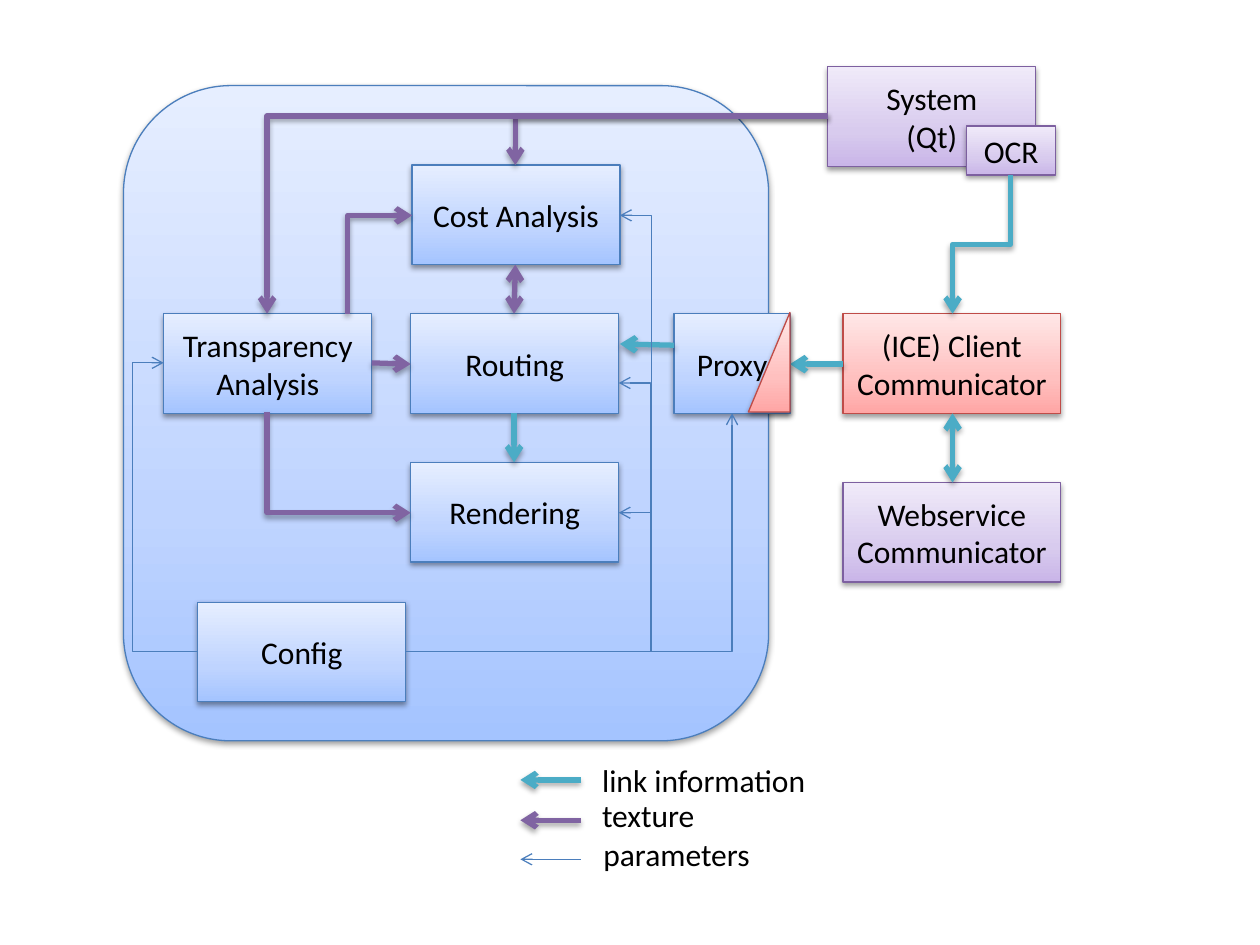
from dataclasses import dataclass
from typing import Optional

from lxml import etree
from pptx import Presentation
from pptx import util as u
from pptx.dml.color import RGBColor
from pptx.enum import shapes, text
from pptx.oxml import ns

INK = {"blue": "4B7EBC", "purple": "7D60A0", "red": "BF4C48", "black": "000000",
       "link": "4BACC6", "texture": "8064A2", "param": "4B7EBC"}
FADE = {"blue": ("A4C4FF", "BFD4FF", "E6EEFF"),
        "purple": ("C9B5E8", "D8CBEE", "F0EAF9"),
        "red": ("FFA6A5", "FFC0BF", "FFE7E7")}
STOPS = (0, 35, 100)
KIND = shapes.MSO_SHAPE
W, H = 1.65, 0.79


@dataclass
class Box:
    """A shaded shape with an optional label."""
    left: float
    top: float
    label: str = ""
    hue: str = "blue"
    width: float = W
    height: float = H
    form: KIND = KIND.RECTANGLE


@dataclass
class Link:
    """An arrow; turn is '', 'hv', 'vh', 'hvh' or 'vhv'."""
    start: tuple[float, float]
    end: tuple[float, float]
    hue: str
    turn: str = ""
    mid: Optional[float] = None
    both: bool = False


def add(parent, tag: str, **attrs):
    """Append a drawing element to its parent."""
    node = etree.SubElement(parent, ns.qn(tag))
    for key, val in attrs.items():
        node.set(key, str(val))
    return node


def shade(effect, drop: int, alpha: int) -> None:
    """Put a soft shadow below an object."""
    node = add(effect, "a:outerShdw", blurRad=40000, dist=drop, dir=5400000, rotWithShape=0)
    add(add(node, "a:srgbClr", val=INK["black"]), "a:alpha", val=alpha * 1000)


def write(frame, words: str, *, size: int = 18, font: str = "Calibri", hue: str = "black",
          align=text.PP_ALIGN.LEFT, anchor=text.MSO_ANCHOR.TOP, wrap: bool = True) -> None:
    """Fill a text frame and format its text."""
    frame.word_wrap = wrap
    frame.vertical_anchor = anchor
    para = frame.paragraphs[0]
    para.text = words
    para.alignment = align
    for run in para.runs:
        run.font.size = u.Pt(size)
        run.font.name = font
        run.font.color.rgb = RGBColor.from_string(INK[hue])


def draw_box(slide, box: Box):
    """Draw one shaded box."""
    shape = slide.shapes.add_shape(
        box.form, *map(u.Inches, (box.left, box.top, box.width, box.height)))
    shape.fill.gradient()
    shape.fill.gradient_angle = 90
    props = shape._element.spPr
    stops = props.find(".//" + ns.qn("a:gsLst"))
    for old in list(stops):
        stops.remove(old)
    for pos, tint in zip(STOPS, FADE[box.hue]):
        add(add(stops, "a:gs", pos=pos * 1000), "a:srgbClr", val=tint)
    shape.line.color.rgb = RGBColor.from_string(INK[box.hue])
    shape.line.width = u.Pt(0.75)
    shape.shadow.inherit = False
    shade(props.find(ns.qn("a:effectLst")), 20000, 38)
    if box.label:
        write(shape.text_frame, box.label, align=text.PP_ALIGN.CENTER,
              anchor=text.MSO_ANCHOR.MIDDLE)
    return shape


def draw_link(slide, link: Link) -> None:
    """Draw one straight or bent arrow."""
    (x1, y1), (x2, y2) = link.start, link.end
    ends = (x1, y1, x2, y2)
    upright = link.turn.startswith("v")
    if upright:  # a quarter turn about the centre swaps the two spans
        cx, cy, dx, dy = (x1 + x2) / 2, (y1 + y2) / 2, (x2 - x1) / 2, (y2 - y1) / 2
        ends = (cx - dy, cy + dx, cx + dy, cy - dx)
    form = shapes.MSO_CONNECTOR.ELBOW if link.turn else shapes.MSO_CONNECTOR.STRAIGHT
    line = slide.shapes.add_connector(form, *map(u.Inches, ends))
    props = line._element.spPr
    geom = props.find(ns.qn("a:prstGeom"))
    if upright:
        props.find(ns.qn("a:xfrm")).set("rot", "5400000")
    if len(link.turn) == 2:
        geom.set("prst", "bentConnector2")
    if link.mid is not None:
        ratio = round((link.mid - x1) / (x2 - x1) * 100000)
        add(geom.find(ns.qn("a:avLst")), "a:gd", name="adj1", fmla=f"val {ratio}")
    thin = link.hue == "param"
    line.line.color.rgb = RGBColor.from_string(INK[link.hue])
    line.line.width = u.Pt(0.75 if thin else 3)
    stroke = props.find(ns.qn("a:ln"))
    for tag in ("a:headEnd", "a:tailEnd") if link.both else ("a:tailEnd",):
        add(stroke, tag, type="arrow")
    effect = add(props, "a:effectLst")
    if not thin:
        shade(effect, 23000, 35)


ROW = 2.49
BOXES = [
    Box(0.98, 0.68, width=5.12, height=5.2, form=KIND.ROUNDED_RECTANGLE),
    Box(3.26, ROW, "Routing"),
    Box(3.26, 3.67, "Rendering"),
    Box(3.27, 1.31, "Cost Analysis"),
    Box(1.3, ROW, "Transparency Analysis"),
    Box(6.57, 0.53, "System\v(Qt)", "purple"),
    Box(1.57, 4.78, "Config"),
    Box(6.69, ROW, "(ICE) Client Communicator", "red", 1.73),
    Box(5.35, ROW, "Proxy", width=0.92),
    Box(6.69, 3.83, "Webservice Communicator", "purple", 1.73),
]
QT, CONF = (6.57, 0.92), (3.22, 5.17)
LINKS = [
    Link(QT, (4.09, 1.31), "texture", "hv"),
    Link(QT, (2.12, ROW), "texture", "hv"),
    Link((4.08, 3.28), (4.08, 3.67), "link"),
    Link((4.09, 2.1), (4.08, ROW), "texture", both=True),
    Link((2.12, 3.27), (3.26, 4.07), "texture", "vh"),
    Link((2.76, ROW), (3.27, 1.71), "texture", "vh"),
    Link((5.35, 2.74), (4.92, 2.73), "link"),
    Link((6.69, 2.89), (6.27, 2.89), "link"),
    Link((7.56, 3.28), (7.56, 3.83), "link", both=True),
    Link(CONF, (4.91, 4.07), "param", "hvh", 5.16),
    Link(CONF, (4.91, 3.04), "param", "hvh", 5.16),
    Link(CONF, (4.92, 1.71), "param", "hvh", 5.17),
    Link((1.57, 5.17), (1.3, 2.88), "param", "hvh", 1.05),
    Link(CONF, (5.81, 3.28), "param", "hv"),
]
# hue, arrow height, text left, text top, text width, label
KEY = [("link", 6.19, 4.68, 5.99, 1.88, "link information"),
       ("texture", 6.51, 4.68, 6.27, 0.94, "texture"),
       ("param", 6.82, 4.69, 6.58, 1.38, "parameters")]


def main() -> None:
    """Build the slide and save it."""
    deck = Presentation()
    deck.slide_width, deck.slide_height = u.Inches(10), u.Inches(7.5)
    slide = deck.slides.add_slide(deck.slide_layouts[6])
    for box in BOXES:
        draw_box(slide, box)
    for link in LINKS:
        draw_link(slide, link)
    for hue, y, left, top, width, label in KEY:
        draw_link(slide, Link((4.61, y), (4.13, y), hue))
        note = slide.shapes.add_textbox(*map(u.Inches, (left, top, width, 0.4)))
        write(note.text_frame, label, wrap=False)
    draw_box(slide, Box(7.67, 1, "OCR", "purple", 0.71, 0.39))
    draw_link(slide, Link((8.02, 1.39), (7.56, ROW), "link", "vhv"))
    wedge = draw_box(slide, Box(5.94, 2.48, hue="red", width=0.33, form=KIND.RIGHT_TRIANGLE))
    wedge._element.spPr.find(ns.qn("a:xfrm")).set("flipH", "1")
    draw_link(slide, Link((2.95, 2.88), (3.26, 2.89), "texture"))
    deck.save("out.pptx")


main()
